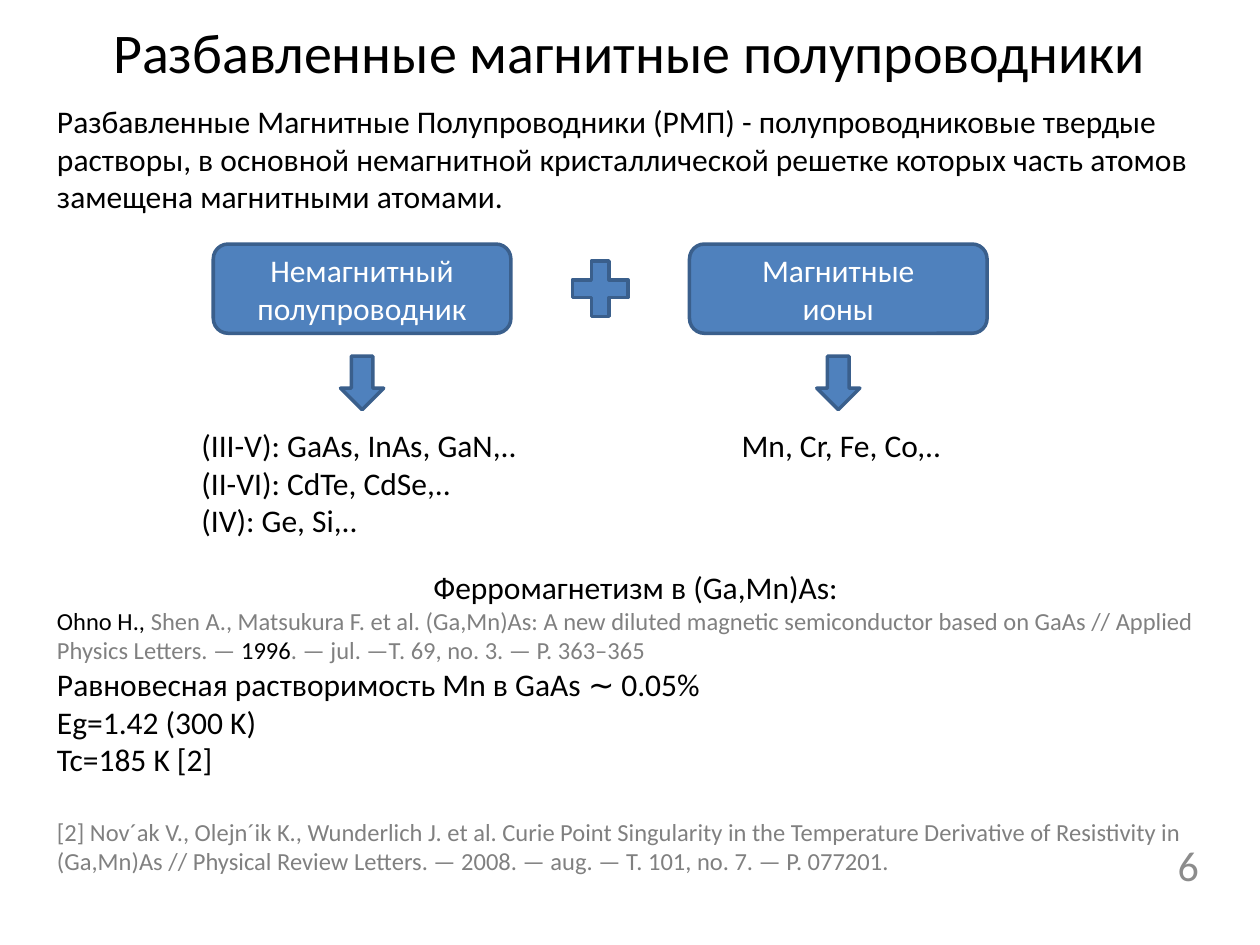
from pptx import Presentation
from pptx.dml.color import RGBColor
from pptx.enum.shapes import MSO_SHAPE
from pptx.enum.text import MSO_ANCHOR, PP_ALIGN
from pptx.util import Cm, Pt

COLORS = {
    "black": "000000",
    "white": "FFFFFF",
    "gray": "808080",
    "number": "8C8C8C",
    "blue": "4F81BD",
    "edge": "3A5F8C",
}
FONT = "Calibri"


def tint(name):
    return RGBColor.from_string(COLORS[name])


def write(frame, text, size=18, color="black", align=PP_ALIGN.LEFT, before=0):
    """Add a paragraph; text is a string or a list of (string, color) runs."""
    par = frame.paragraphs[0]
    if par.runs:
        par = frame.add_paragraph()
    par.alignment = align
    if before:
        par.space_before = Pt(before)
    runs = [(text, color)] if isinstance(text, str) else text
    for words, shade in runs:
        run = par.add_run()
        run.text = words
        run.font.name = FONT
        run.font.size = Pt(size)
        run.font.color.rgb = tint(shade)


class Deck:
    def __init__(self, wide, high):
        self.show = Presentation()
        self.show.slide_width, self.show.slide_height = Cm(wide), Cm(high)
        self.slide = self.show.slides.add_slide(self.show.slide_layouts[6])

    def text(self, left, top, wide, high, lines, anchor=MSO_ANCHOR.TOP, **style):
        box = self.slide.shapes.add_textbox(Cm(left), Cm(top), Cm(wide), Cm(high))
        frame = box.text_frame
        frame.word_wrap = True
        frame.vertical_anchor = anchor
        for line in lines:
            write(frame, line, **style)
        return frame

    def shape(self, kind, mid, top, wide, high, lines=()):
        """Place a blue shape centred on mid."""
        item = self.slide.shapes.add_shape(
            kind, Cm(mid - wide / 2), Cm(top), Cm(wide), Cm(high))
        item.shadow.inherit = False
        item.fill.solid()
        item.fill.fore_color.rgb = tint("blue")
        item.line.color.rgb = tint("edge")
        item.line.width = Pt(2)
        frame = item.text_frame
        frame.vertical_anchor = MSO_ANCHOR.MIDDLE
        for line in lines:
            write(frame, line, color="white", align=PP_ALIGN.CENTER)

    def save(self):
        self.show.save("out.pptx")


def main():
    deck = Deck(25.4, 19.05)
    edge = 0.9

    # Title and definition
    deck.text(edge, 0.33, 23.6, 1.4, ["Разбавленные магнитные полупроводники"],
              anchor=MSO_ANCHOR.MIDDLE, size=32, align=PP_ALIGN.CENTER)
    deck.text(edge, 1.93, 23.6, 2.8, [
        "Разбавленные Магнитные Полупроводники (РМП) - полупроводниковые "
        "твердые растворы, в основной немагнитной кристаллической решетке "
        "которых часть атомов замещена магнитными атомами."])

    # Slide number
    deck.text(18.5, 16.92, 5.92, 1.02, ["6"], anchor=MSO_ANCHOR.MIDDLE,
              size=24, color="number", align=PP_ALIGN.RIGHT)

    # Two components: box, arrow and examples
    parts = [
        (7.3, ["Немагнитный", "полупроводник"], 3.81,
         ["(III-V): GaAs, InAs, GaN,..", "(II-VI): CdTe, CdSe,..",
          "(IV): Ge, Si,.."]),
        (16.9, ["Магнитные", "ионы"], 14.7, ["Mn, Cr, Fe, Co,.."]),
    ]
    for mid, name, left, cases in parts:
        deck.shape(MSO_SHAPE.ROUNDED_RECTANGLE, mid, 4.92, 6, 1.8, name)
        deck.shape(MSO_SHAPE.DOWN_ARROW, mid, 7.18, 0.87, 1.08)
        deck.text(left, 8.46, 7, 0.25 + 0.77 * len(cases), cases)
    plus = (parts[0][0] + parts[1][0]) / 2
    deck.shape(MSO_SHAPE.MATH_PLUS, plus, 5.06, 1.52, 1.52)

    # Ferromagnetism facts and references
    facts = deck.text(edge, 11.33, 23.83, 7.26, ["Ферромагнетизм в (Ga,Mn)As:"],
                      align=PP_ALIGN.CENTER)
    write(facts, [
        ("Ohno H., ", "black"),
        ("Shen A., Matsukura F. et al. (Ga,Mn)As: A new diluted magnetic "
         "semiconductor based on GaAs // Applied Physics Letters. — ", "gray"),
        ("1996", "black"),
        (". — jul. —Т. 69, no. 3. — P. 363–365", "gray"),
    ], size=14)
    for line in ("Равновесная растворимость Mn в GaAs ∼ 0.05%",
                 "Eg=1.42 (300 K)", "Tc=185 K [2]"):
        write(facts, line)
    write(facts,
          "[2] Nov´ak V., Olejn´ik K., Wunderlich J. et al. Curie Point "
          "Singularity in the Temperature Derivative of Resistivity in "
          "(Ga,Mn)As // Physical Review Letters. — 2008. — aug. — Т. 101, "
          "no. 7. — P. 077201.", size=14, color="gray", before=22)

    deck.save()


if __name__ == "__main__":
    main()
